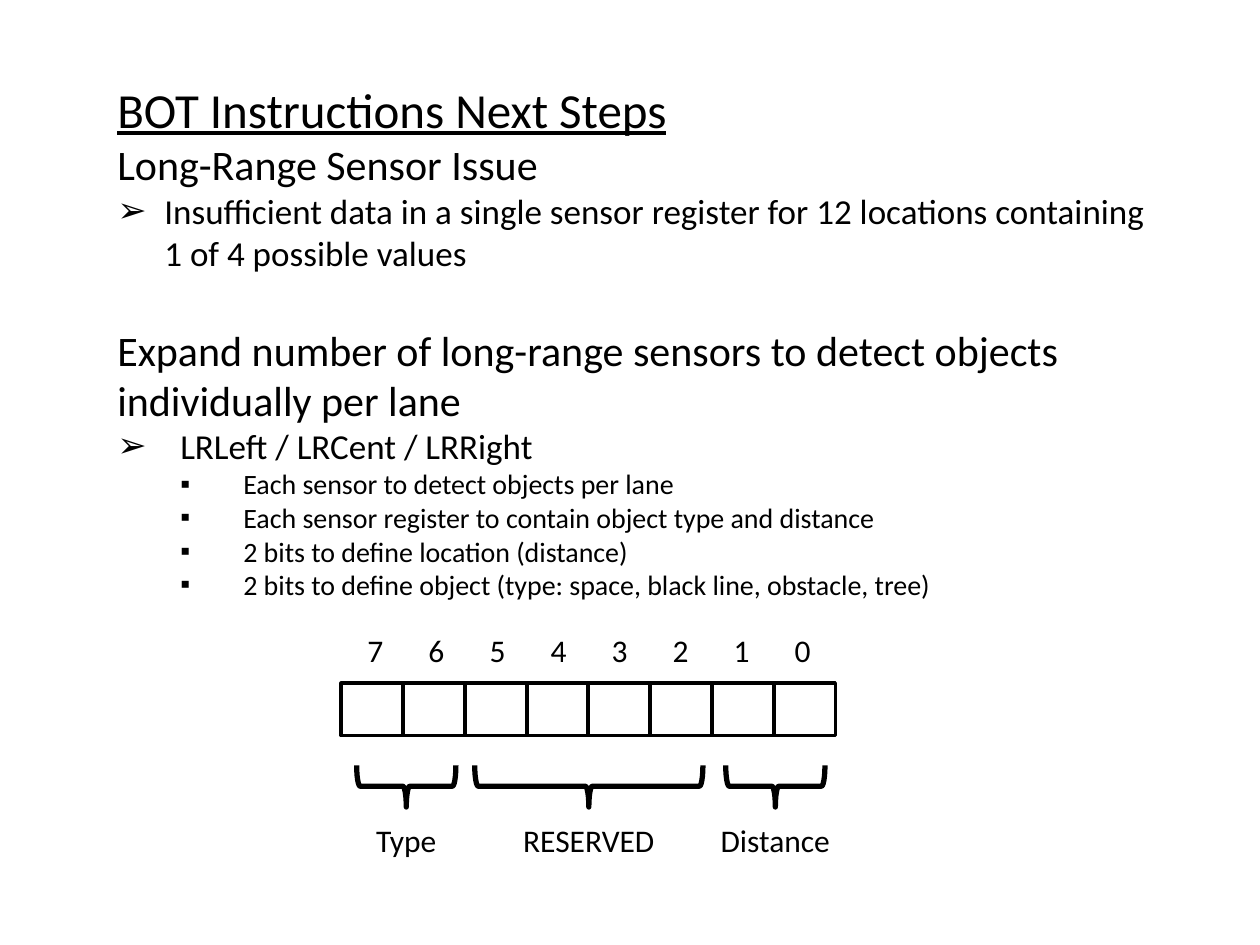
from lxml import etree
from pptx import Presentation
from pptx.dml.color import RGBColor
from pptx.enum.shapes import MSO_CONNECTOR as Link, MSO_SHAPE as Preset
from pptx.enum.text import MSO_ANCHOR as Anchor, MSO_AUTO_SIZE as Fit, PP_ALIGN as Align
from pptx.oxml.ns import qn
from pptx.util import Cm, Pt


def color(value):
    return RGBColor.from_string(value)


class Page:
    """Holds the style and the current slide."""

    font = "Calibri"
    ink = "000000"

    def __init__(self, deck):
        self.slide = deck.slides.add_slide(deck.slide_layouts[1])
        self.shapes = self.slide.shapes

    def style(self, para, size, align=Align.LEFT, underline=False):
        para.alignment = align
        font = para.font
        font.name, font.size, font.underline = self.font, Pt(size), underline
        font.color.rgb = color(self.ink)

    def outline(self, shape, width):
        shape.line.color.rgb = color(self.ink)
        shape.line.width = Pt(width)

    def place(self, box, left, top, width, height):
        box.left, box.top, box.width, box.height = map(Cm, (left, top, width, height))
        frame = box.text_frame
        frame.word_wrap, frame.auto_size = True, Fit.NONE
        frame.vertical_anchor = Anchor.TOP
        return frame

    def title(self, text, *area):
        frame = self.place(self.shapes.title, *area)
        frame.text = text
        self.style(frame.paragraphs[0], 28, underline=True)

    def body(self, items, *area):
        frame = self.place(self.slide.placeholders[1], *area)
        frame.margin_top = 0
        for index, (text, size, level, bullet, indent, hang, gap) in enumerate(items):
            para = frame.add_paragraph() if index else frame.paragraphs[0]
            para.text, para.level = text, level
            para.space_before = Pt(gap)
            props = para._p.get_or_add_pPr()
            props.set("marL", str(Cm(indent)))
            props.set("indent", str(-Cm(hang)))
            if bullet:
                etree.SubElement(props, qn("a:buChar")).set("char", bullet)
            else:
                etree.SubElement(props, qn("a:buNone"))
            self.style(para, size)

    def label(self, text, center, top, width):
        box = self.shapes.add_textbox(Cm(center - width / 2), Cm(top), Cm(width), Cm(1.02))
        box.text_frame.word_wrap = True
        para = box.text_frame.paragraphs[0]
        para.text = text
        self.style(para, 18, Align.CENTER)

    def shape(self, preset, left, top, width, height, line):
        shape = self.shapes.add_shape(preset, Cm(left), Cm(top), Cm(width), Cm(height))
        shape.shadow.inherit = False
        shape.fill.background()
        self.outline(shape, line)
        return shape

    def divider(self, x, top, bottom):
        line = self.shapes.add_connector(Link.STRAIGHT, Cm(x), Cm(top), Cm(x), Cm(bottom))
        self.outline(line, 2.25)
        etree.SubElement(line._element.spPr, qn("a:effectLst"))

    def brace(self, center, middle, span, depth):
        brace = self.shape(Preset.RIGHT_BRACE, center - depth / 2, middle - span / 2,
                           depth, span, 3)
        brace.rotation = 90


def heading(text, gap=0):
    return text, 24, 0, None, 0, 0, gap


def point(text, indent):
    return text, 20, 0, "➢", indent, indent, 0


def detail(text):
    return text, 16, 1, "▪", 2.54, 1.27, 0


def main():
    deck = Presentation()
    deck.slide_width, deck.slide_height = Cm(25.4), Cm(19.05)
    page = Page(deck)

    # Title and list
    page.title("BOT Instructions Next Steps", 2.11, 1.47, 21.39, 1.4)
    page.body([
        heading("Long-Range Sensor Issue"),
        point("Insufficient data in a single sensor register for 12 locations "
              "containing 1 of 4 possible values", 0.95),
        heading("Expand number of long-range sensors to detect objects "
                "individually per lane", gap=29),
        point("LRLeft / LRCent / LRRight", 1.27),
        detail("Each sensor to detect objects per lane"),
        detail("Each sensor register to contain object type and distance"),
        detail("2 bits to define location (distance)"),
        detail("2 bits to define object (type: space, black line, obstacle, tree)"),
    ], 2.11, 2.8, 21.39, 9.52)

    # Register with numbered bits
    bits, left, top, width, height = 8, 6.88, 13.77, 9.96, 1.06
    page.shape(Preset.RECTANGLE, left, top, width, height, 2)
    for index in range(bits):
        if index:
            page.divider(left + index * width / bits, top, top + height)
        page.label(str(bits - 1 - index), 7.57 + index * 1.23, 12.6, 1.2)

    # Bit fields
    for name, center, span in (("Type", 8.19, 2), ("RESERVED", 11.87, 4.6),
                               ("Distance", 15.63, 2)):
        page.brace(center, 15.85, span, 0.84)
        page.label(name, center, 16.43, 3.6)

    deck.save("out.pptx")


if __name__ == "__main__":
    main()
